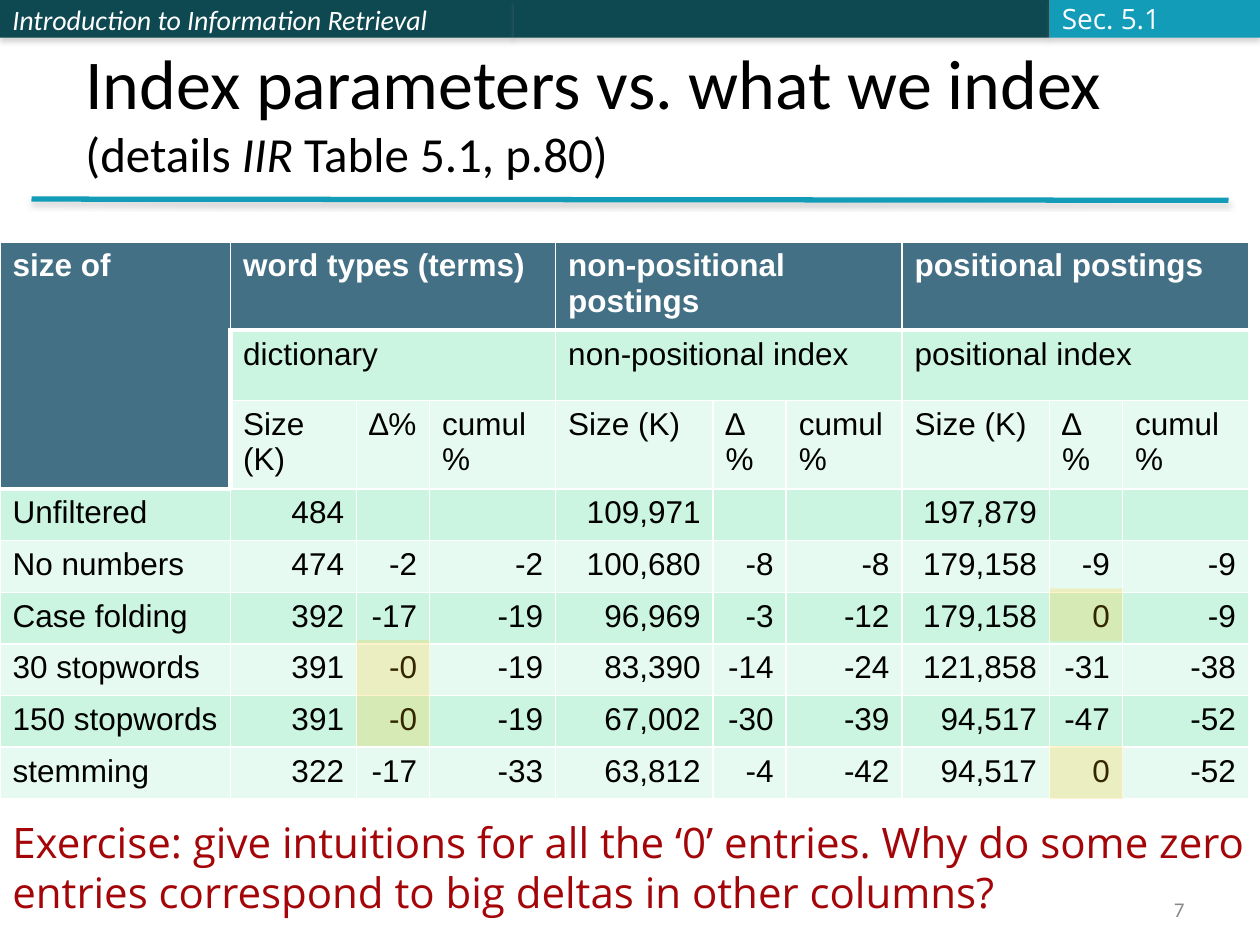
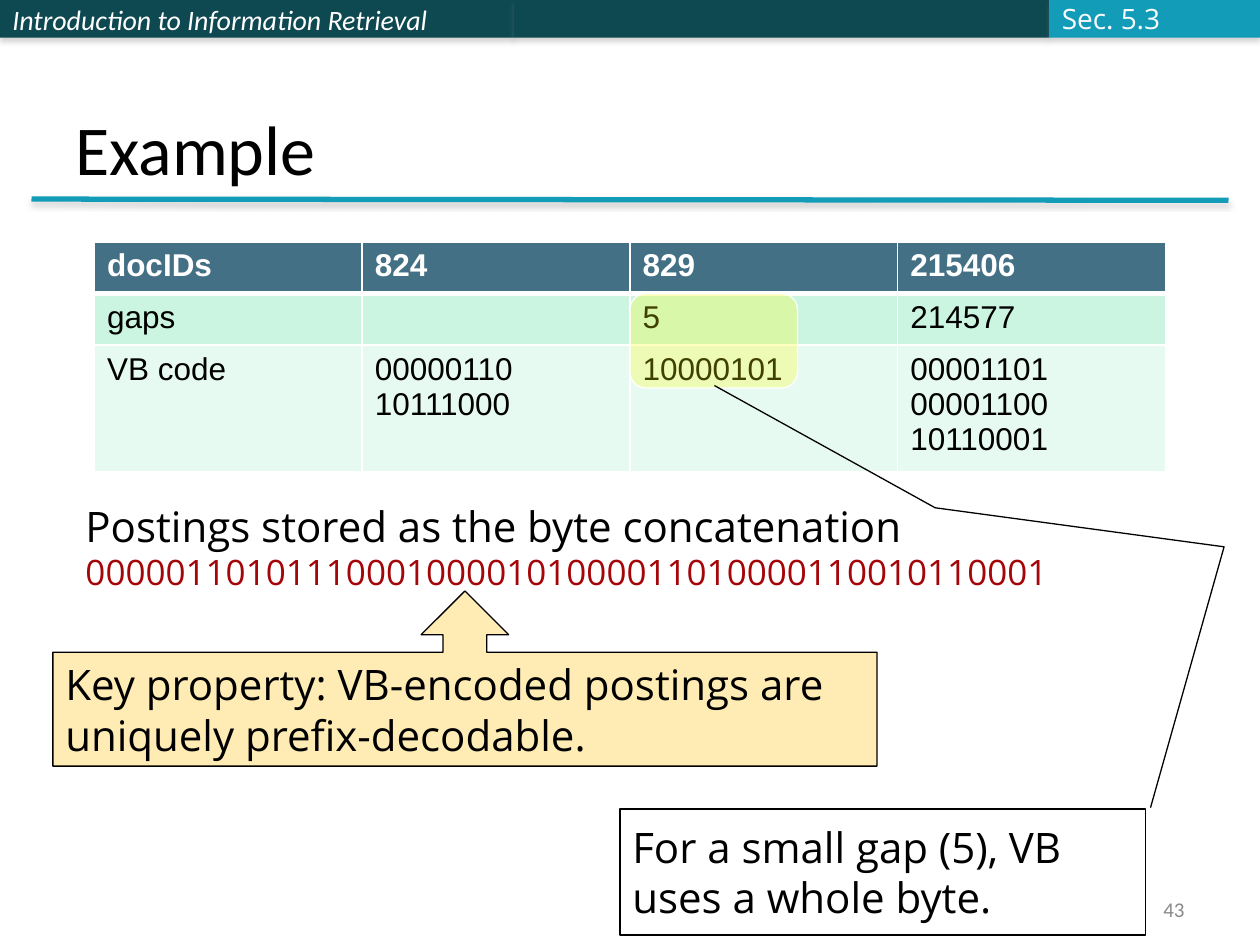
from dataclasses import dataclass, field
from typing import Any, Optional

from lxml.etree import SubElement
from pptx import Presentation
from pptx.dml.color import RGBColor
from pptx.enum.shapes import MSO_CONNECTOR as Connector, MSO_SHAPE as Preset
from pptx.enum.text import MSO_ANCHOR as Anchor, PP_ALIGN as Align
from pptx.oxml.ns import qn
from pptx.util import Inches, Pt

COLORS = {
    "band": "0E4851", "accent": "139CB7", "shadow": "808080",
    "white": "FFFFFF", "black": "000000", "section": "FBFCFF",
    "page": "898989", "red": "A40508", "amber": "FFC000", "yellow": "FFFF00",
    "header": "437085", "odd_row": "CBF5E1", "even_row": "E7FAF1",
}

FORMATS = {
    "course": {"name": "Calibri", "size": Pt(16), "italic": True, "color": "white"},
    "title": {"name": "Calibri", "size": Pt(40), "color": "black"},
    "subtitle": {"name": "Calibri", "size": Pt(28), "color": "black"},
    "source": {"name": "Calibri", "size": Pt(28), "italic": True, "color": "black"},
    "section": {"name": "Open Sans", "size": Pt(16), "color": "section"},
    "page": {"name": "Calibri", "size": Pt(12), "color": "page"},
    "body": {"name": "Open Sans", "size": Pt(24), "color": "black"},
    "exercise": {"name": "Open Sans", "size": Pt(24), "color": "red"},
    "bytes": {"name": "Open Sans", "size": Pt(20), "color": "red"},
    "head_cell": {"name": "Arial", "size": Pt(18), "bold": True, "color": "white"},
    "body_cell": {"name": "Arial", "size": Pt(18), "bold": False, "color": "black"},
}

Box = tuple[float, float, float, float]
Paragraphs = list[list[tuple[str, str]]]


@dataclass
class Block:
    box: Box
    paragraphs: Paragraphs = field(default_factory=list)
    preset: Optional[Preset] = None
    fill: Optional[str] = None
    opacity: int = 100
    outline: Optional[str] = None
    adjustments: tuple[float, ...] = ()
    anchor: Anchor = Anchor.TOP
    align: Align = Align.LEFT
    shadow: bool = False


@dataclass
class Grid:
    left: float
    columns: list[float]
    rows: list[float]
    texts: list[tuple[str, ...]]
    stub_rows: int = 1
    merges: tuple[tuple[int, int, int, int], ...] = ()
    first_number_row: int = 99

    def is_header(self, row: int, column: int) -> bool:
        return row < (self.stub_rows if column == 0 else 1)


def rgb(key: str) -> RGBColor:
    return RGBColor.from_string(COLORS[key])


def style_run(run: Any, style: str) -> None:
    for attribute, value in FORMATS[style].items():
        if attribute == "color":
            run.font.color.rgb = rgb(value)
        else:
            setattr(run.font, attribute, value)


def set_effects(shape: Any, shadow: bool) -> None:
    properties = shape._element.spPr
    effects = properties.find(qn("a:effectLst"))
    if effects is None:
        effects = SubElement(properties, qn("a:effectLst"))
    if shadow:
        outer = SubElement(effects, qn("a:outerShdw"), blurRad=str(Pt(3.1)),
                           dist=str(Pt(1.8)), dir="5400000", rotWithShape="0")
        tint = SubElement(outer, qn("a:srgbClr"), val=COLORS["shadow"])
        SubElement(tint, qn("a:alpha"), val="35000")


def draw_block(slide: Any, block: Block) -> None:
    box = [Inches(length) for length in block.box]
    if block.preset is None:
        shape = slide.shapes.add_textbox(*box)
    else:
        shape = slide.shapes.add_shape(block.preset, *box)
        shape.shadow.inherit = False
        for index, value in enumerate(block.adjustments):
            shape.adjustments[index] = value
        if block.fill:
            shape.fill.solid()
            shape.fill.fore_color.rgb = rgb(block.fill)
            if block.opacity < 100:
                tint = shape._element.spPr.find(qn("a:solidFill"))[0]
                SubElement(tint, qn("a:alpha"), val=str(block.opacity * 1000))
        else:
            shape.fill.background()
        if block.outline:
            shape.line.color.rgb = rgb(block.outline)
            shape.line.width = Pt(0.75)
        else:
            shape.line.fill.background()
        set_effects(shape, block.shadow)
    frame = shape.text_frame
    frame.word_wrap = True
    frame.vertical_anchor = block.anchor
    for index, runs in enumerate(block.paragraphs):
        paragraph = frame.add_paragraph() if index else frame.paragraphs[0]
        paragraph.alignment = block.align
        for text, style in runs:
            run = paragraph.add_run()
            run.text = text
            style_run(run, style)


def draw_borders(cell: Any, grid: Grid, row: int, column: int) -> None:
    header = grid.is_header(row, column)
    neighbours = {
        "L": (row, max(column - 1, 0)),
        "R": (row, column + cell.span_width),
        "T": (row - 1, column),
        "B": (row + cell.span_height, column),
    }
    properties = cell._tc.get_or_add_tcPr()
    for index, (side, place) in enumerate(neighbours.items()):
        width = 3 if grid.is_header(*place) != header else 1
        border = SubElement(properties, qn(f"a:ln{side}"), w=str(Pt(width)))
        fill = SubElement(border, qn("a:solidFill"))
        SubElement(fill, qn("a:srgbClr"), val=COLORS["white"])
        properties.insert(index, border)


def draw_grid(slide: Any, grid: Grid) -> None:
    table = slide.shapes.add_table(
        len(grid.rows), len(grid.columns), Inches(grid.left), Inches(1.92),
        Inches(sum(grid.columns)), Inches(sum(grid.rows))).table
    for column, width in zip(table.columns, grid.columns):
        column.width = Inches(width)
    for row, height in zip(table.rows, grid.rows):
        row.height = Inches(height)
    for top, left, bottom, right in grid.merges:
        table.cell(top, left).merge(table.cell(bottom, right))
    for row, texts in enumerate(grid.texts):
        for column, text in enumerate(texts):
            cell = table.cell(row, column)
            header = grid.is_header(row, column)
            cell.fill.solid()
            cell.fill.fore_color.rgb = rgb(
                "header" if header else "odd_row" if row % 2 else "even_row")
            draw_borders(cell, grid, row, column)
            if not text:
                continue
            cell.text_frame.text = text
            numeric = row >= grid.first_number_row and column > 0
            for paragraph in cell.text_frame.paragraphs:
                paragraph.alignment = Align.RIGHT if numeric else Align.LEFT
                for run in paragraph.runs:
                    style_run(run, "head_cell" if header else "body_cell")


def start_slide(deck: Any, title_box: Box, title: list[tuple[str, str]],
                section: str, page: str) -> Any:
    slide = deck.slides.add_slide(deck.slide_layouts[6])
    course = [[("Introduction to Information Retrieval", "course")]]
    for left, width, fill, paragraphs in (
            (0, 4.08, "band", course), (4.08, 4.25, "band", []), (8.33, 1.67, "accent", [])):
        draw_block(slide, Block((left, 0, width, 0.3), paragraphs, Preset.RECTANGLE,
                                fill, anchor=Anchor.MIDDLE, shadow=True))
    title_rule = slide.shapes.add_connector(
        Connector.STRAIGHT, Inches(0.25), Inches(1.58), Inches(9.75), Inches(1.59))
    title_rule.line.color.rgb = rgb("accent")
    title_rule.line.width = Pt(3)
    set_effects(title_rule, True)
    draw_block(slide, Block(title_box, [title], anchor=Anchor.BOTTOM))
    draw_block(slide, Block((8.33, -0.04, 1.06, 0.37), [[(section, "section")]],
                            anchor=Anchor.MIDDLE))
    draw_block(slide, Block((7.17, 7.08, 2.33, 0.27), [[(page, "page")]],
                            anchor=Anchor.MIDDLE, align=Align.RIGHT))
    return slide


def build_index_parameters(deck: Any) -> None:
    slide = start_slide(
        deck, (0.58, 0.42, 9.17, 1.08),
        [("Index parameters vs. what we index ", "title"), ("(details ", "subtitle"),
         ("IIR ", "source"), ("Table 5.1, p.80)", "subtitle")], "Sec. 5.1", "7")
    groups = (1, 4, 7)
    draw_grid(slide, Grid(
        left=0,
        columns=[1.83, 1, 0.58, 1, 1.25, 0.58, 0.92, 1.17, 0.58, 1],
        rows=[0.67, 0.56, 0.66] + [0.41] * 6,
        texts=[
            ("size of", "word types (terms)", "", "", "non-positional\npostings", "", "",
             "positional postings", "", ""),
            ("", "dictionary", "", "", "non-positional index", "", "",
             "positional index", "", ""),
            ("", "Size (K)", "∆%", "cumul %") + ("Size (K)", "∆ %", "cumul %") * 2,
            ("Unfiltered", "484", "", "", "109,971", "", "", "197,879", "", ""),
            ("No numbers", "474", "-2", "-2", "100,680", "-8", "-8", "179,158", "-9", "-9"),
            ("Case folding", "392", "-17", "-19", "96,969", "-3", "-12", "179,158", "0", "-9"),
            ("30 stopwords", "391", "-0", "-19", "83,390", "-14", "-24",
             "121,858", "-31", "-38"),
            ("150 stopwords", "391", "-0", "-19", "67,002", "-30", "-39",
             "94,517", "-47", "-52"),
            ("stemming", "322", "-17", "-33", "63,812", "-4", "-42", "94,517", "0", "-52"),
        ],
        stub_rows=3,
        merges=((0, 0, 2, 0),) + tuple(
            (row, first, row, first + 2) for row in (0, 1) for first in groups),
        first_number_row=3))
    for left, top in ((2.83, 5.08), (8.33, 4.67), (2.83, 5.5), (8.33, 5.92)):
        draw_block(slide, Block((left, top, 0.58, 0.42), preset=Preset.RECTANGLE,
                                fill="amber", opacity=20))
    draw_block(slide, Block((0, 6.43, 10, 0.91), [[(
        "Exercise: give intuitions for all the ‘0’ entries. Why do some zero entries "
        "correspond to big deltas in other columns?", "exercise")]]))


def build_example(deck: Any) -> None:
    slide = start_slide(deck, (0.5, 0.3, 9, 1.25), [("Example", "title")], "Sec. 5.3", "43")
    draw_grid(slide, Grid(
        left=0.75,
        columns=[2.125] * 4,
        rows=[0.41, 0.41, 0.93],
        texts=[
            ("docIDs", "824", "829", "215406"),
            ("gaps", "", "5", "214577"),
            ("VB code", "00000110 10111000", "10000101", "00001101 00001100 10110001"),
        ]))
    blocks = [
        Block((0.58, 3.92, 8.79, 0.84), [
            [("Postings stored as the byte concatenation", "body")],
            [("000001101011100010000101000011010000110010110001", "bytes")]]),
        Block((0.42, 4.69, 6.54, 1.39), [
            [("Key property: VB-encoded postings are", "body")],
            [("uniquely prefix-decodable.", "body")]],
            Preset.UP_ARROW_CALLOUT, "amber", 29, "black", (0.25, 0.25, 0.25, 0.65),
            Anchor.MIDDLE),
        Block((5, 2.33, 1.33, 0.75), [], Preset.ROUNDED_RECTANGLE, "yellow", 25, "white",
              (0.17,)),
        Block((4.92, 6.42, 4.17, 1), [
            [("For a small gap (5), VB", "body")],
            [("uses a whole byte.", "body")]],
            Preset.LINE_CALLOUT_3, outline="black", anchor=Anchor.MIDDLE,
            adjustments=(-0.01, 1.01, -2.08, 1.15, -2.39, 0.6, -3.36, 0.18)),
    ]
    for block in blocks:
        draw_block(slide, block)


def main() -> None:
    deck = Presentation()
    deck.slide_width = Inches(10)
    deck.slide_height = Inches(7.5)
    build_index_parameters(deck)
    build_example(deck)
    deck.save("out.pptx")


if __name__ == "__main__":
    main()
